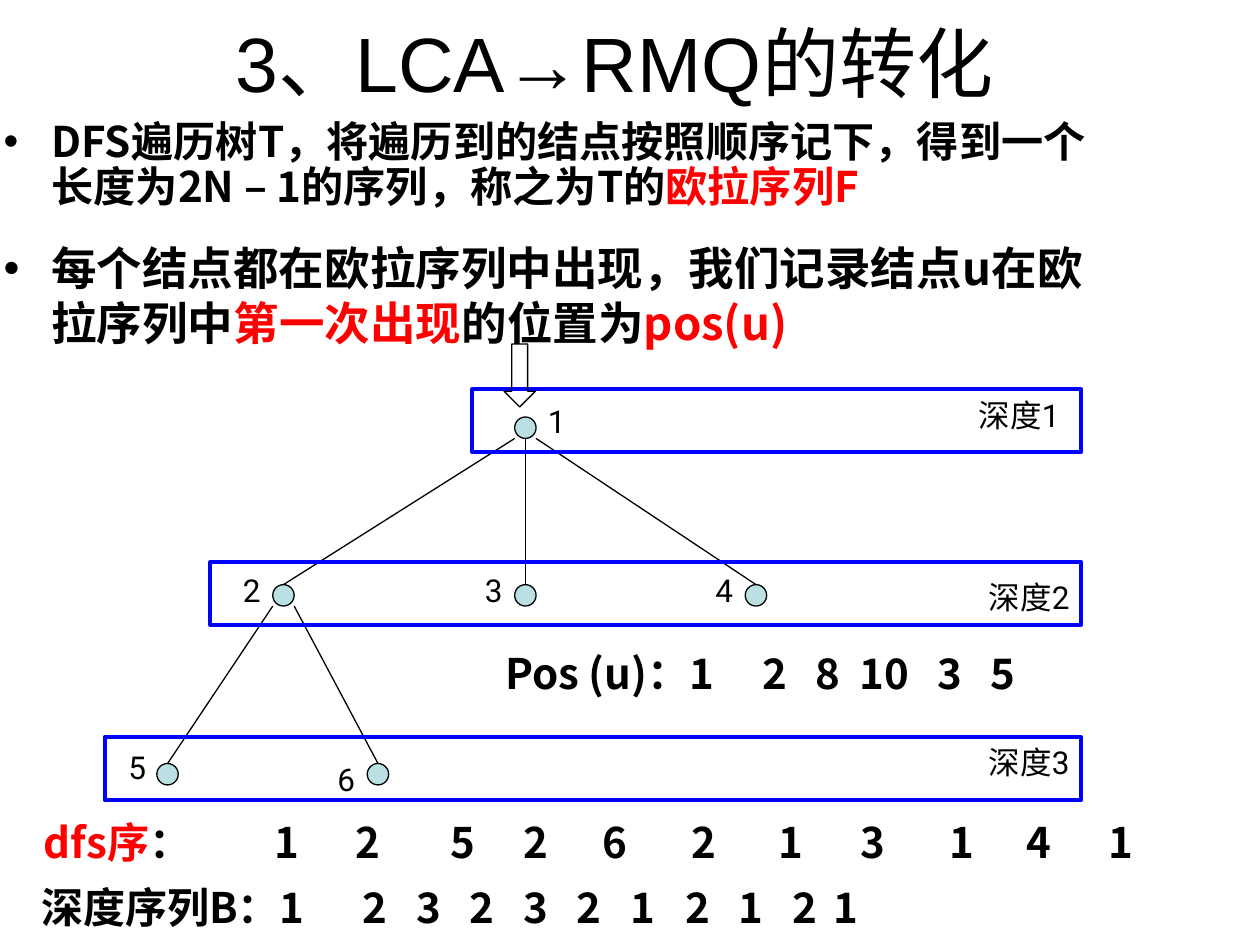
from dataclasses import dataclass

import pptx
import pptx.dml.color
import pptx.enum.shapes
import pptx.enum.text
import pptx.oxml.ns
import pptx.util
from lxml import etree
from pptx.dml.color import RGBColor
from pptx.enum.shapes import MSO_SHAPE
from pptx.util import Inches

BLACK = RGBColor(0, 0, 0)
RED = RGBColor(0xFF, 0, 0)
BLUE = RGBColor(0, 0, 0xFF)
NODE_FILL = RGBColor(0xBB, 0xE0, 0xE3)
CJK_FONT = "Noto Sans CJK SC"
LABEL_FONT = "Roboto"
NODE_SIZE = 0.17


@dataclass(frozen=True)
class Style:
    size: float
    font: str = CJK_FONT
    bold: bool = True
    before: float = 15


@dataclass(frozen=True)
class Node:
    center: float
    top: float
    label_left: float
    label_top: float


@dataclass(frozen=True)
class Edge:
    parent: str
    child: str
    side: int  # -1, 0 or 1: left, middle or right below the parent


@dataclass(frozen=True)
class Level:
    left: float
    top: float
    label_left: float
    label_top: float


TITLE = Style(44, "Arial", False, 0)
LABEL = Style(18, LABEL_FONT, False, 11.2)
SEQUENCE = Style(24)

NODES = {
    "1": Node(4.17, 3.31, 4.25, 3.14),
    "2": Node(2.25, 4.64, 1.83, 4.48),
    "3": Node(4.17, 4.64, 3.75, 4.48),
    "4": Node(6.0, 4.64, 5.58, 4.48),
    "5": Node(1.33, 6.06, 0.92, 5.89),
    "6": Node(3.0, 6.06, 2.58, 5.98),
}
EDGES = [Edge("1", "2", -1), Edge("1", "3", 0), Edge("1", "4", 1),
         Edge("2", "5", -1), Edge("2", "6", 1)]
LEVELS = [Level(3.75, 3.09, 7.67, 3.09), Level(1.67, 4.46, 7.75, 4.54),
          Level(0.83, 5.85, 7.75, 5.85)]
LEVEL_RIGHT = 8.58
DFS_ORDER = "12526213141"
DFS_LEFTS = [2.08, 2.72, 3.48, 4.06, 4.68, 5.39, 6.08, 6.73, 7.44, 8.05, 8.7]


def add_text(slide, left: float, top: float, width: float, height: float,
             runs: list[tuple[str, RGBColor]], style: Style, grow: bool = True):
    """Add a one-paragraph text box and return it."""
    box = slide.shapes.add_textbox(Inches(left), Inches(top), Inches(width), Inches(height))
    frame = box.text_frame
    frame.word_wrap = True
    if grow:
        frame.auto_size = pptx.enum.text.MSO_AUTO_SIZE.SHAPE_TO_FIT_TEXT
    paragraph = frame.paragraphs[0]
    paragraph.space_before = pptx.util.Pt(style.before)
    for text, color in runs:
        run = paragraph.add_run()
        run.text = text
        run.font.size = pptx.util.Pt(style.size)
        run.font.bold = style.bold
        run.font.name = style.font
        run.font.color.rgb = color
        east_asian = etree.SubElement(run.font._element, pptx.oxml.ns.qn("a:ea"))
        east_asian.set("typeface", CJK_FONT)
    return box


def add_bullet(box) -> None:
    """Give the paragraph a hanging bullet."""
    properties = box.text_frame.paragraphs[0]._p.get_or_add_pPr()
    properties.set("marL", str(Inches(0.38)))
    properties.set("indent", str(-Inches(0.38)))
    bullet_color = etree.SubElement(properties, pptx.oxml.ns.qn("a:buClr"))
    etree.SubElement(bullet_color, pptx.oxml.ns.qn("a:srgbClr")).set("val", str(BLACK))
    etree.SubElement(properties, pptx.oxml.ns.qn("a:buFont")).set("typeface", "Arial")
    etree.SubElement(properties, pptx.oxml.ns.qn("a:buChar")).set("char", "•")


def add_tabs(box, positions: list[float]) -> None:
    """Set left tab stops, measured from the start of the text."""
    properties = box.text_frame.paragraphs[0]._p.get_or_add_pPr()
    tabs = etree.SubElement(properties, pptx.oxml.ns.qn("a:tabLst"))
    for position in positions:
        tab = etree.SubElement(tabs, pptx.oxml.ns.qn("a:tab"))
        tab.set("pos", str(Inches(position)))
        tab.set("algn", "l")


def add_outline(slide, kind: MSO_SHAPE, left: float, top: float, width: float, height: float,
                line: RGBColor = BLACK, weight: float = 0.75, fill: RGBColor | None = None) -> None:
    shape = slide.shapes.add_shape(kind, Inches(left), Inches(top), Inches(width), Inches(height))
    shape.shadow.inherit = False
    if fill is None:
        shape.fill.background()
    else:
        shape.fill.solid()
        shape.fill.fore_color.rgb = fill
    shape.line.color.rgb = line
    shape.line.width = pptx.util.Pt(weight)


def add_edge(slide, edge: Edge) -> None:
    parent, child = NODES[edge.parent], NODES[edge.child]
    start = parent.center + edge.side * NODE_SIZE / 2
    connector = slide.shapes.add_connector(
        pptx.enum.shapes.MSO_CONNECTOR.STRAIGHT, Inches(start), Inches(parent.top + NODE_SIZE),
        Inches(child.center), Inches(child.top))
    connector.line.color.rgb = BLACK
    connector.line.width = pptx.util.Pt(0.75)
    etree.SubElement(connector._element.spPr, pptx.oxml.ns.qn("a:effectLst"))


def main() -> None:
    presentation = pptx.Presentation()
    presentation.slide_width, presentation.slide_height = Inches(10), Inches(7.5)
    slide = presentation.slides.add_slide(presentation.slide_layouts[6])

    # Title
    title = add_text(slide, 0.75, 0, 8.25, 0.98, [("3、LCA→RMQ的转化", BLACK)], TITLE, grow=False)
    title.text_frame.vertical_anchor = pptx.enum.text.MSO_ANCHOR.MIDDLE
    title.text_frame.paragraphs[0].alignment = pptx.enum.text.PP_ALIGN.CENTER

    # Definitions
    euler = add_text(slide, -0.07, 0.91, 8.94, 0.95, [
        ("DFS遍历树T，将遍历到的结点按照顺序记下，得到一个长度为2N – 1的序列，称之为T的", BLACK),
        ("欧拉序列F", RED)], Style(24.1, before=6.5), grow=False)
    euler.text_frame.paragraphs[0].line_spacing = 0.9
    first = add_text(slide, -0.07, 1.86, 8.94, 1.1, [
        ("每个结点都在欧拉序列中出现，我们记录结点u在欧拉序列中", BLACK),
        ("第一次出现", RED), ("的位置为", BLACK), ("pos(u)", RED)],
        Style(26, before=6.5), grow=False)
    for definition in (euler, first):
        add_bullet(definition)

    # Tree
    for edge in EDGES:
        add_edge(slide, edge)
    for name, node in NODES.items():
        add_outline(slide, MSO_SHAPE.OVAL, node.center - NODE_SIZE / 2, node.top,
                    NODE_SIZE, NODE_SIZE, fill=NODE_FILL)
        add_text(slide, node.label_left, node.label_top, 1.25, 0.4, [(name, BLACK)], LABEL)

    # Depth levels
    for depth, level in enumerate(LEVELS, start=1):
        add_outline(slide, MSO_SHAPE.RECTANGLE, level.left, level.top,
                    LEVEL_RIGHT - level.left, 0.5, BLUE, 2.25)
        add_text(slide, level.label_left, level.label_top, 1.25, 0.4,
                 [(f"深度{depth}", BLACK)], LABEL)
    add_outline(slide, MSO_SHAPE.DOWN_ARROW, 4, 2.73, 0.25, 0.5)

    # DFS order, depth sequence and first positions
    for digit, left in zip(DFS_ORDER, DFS_LEFTS):
        add_text(slide, left, 6.43, 0.33, 0.5, [(digit, BLACK)], SEQUENCE)
    add_text(slide, 0.25, 6.43, 2.08, 0.5, [("dfs序", RED), ("：", BLACK)], SEQUENCE)
    depths = add_text(slide, 0.23, 6.95, 9.57, 0.5,
                      [("深度序列B：" + "\t".join("12323212121"), BLACK)], SEQUENCE)
    add_tabs(depths, [round(2.13 + 0.425 * step, 2) for step in range(1, 10)] + [6.29])
    positions = add_text(slide, 3.66, 5.09, 5.91, 0.9,
                         [("Pos (u)：" + "\t".join(["1", "2", "8", "10", "3", "5"]), BLACK)],
                         SEQUENCE)
    positions.text_frame.margin_left = Inches(0.35)
    add_tabs(positions, [2.04, 2.46, 2.81, 3.43, 3.85])

    presentation.save("out.pptx")


if __name__ == "__main__":
    main()
